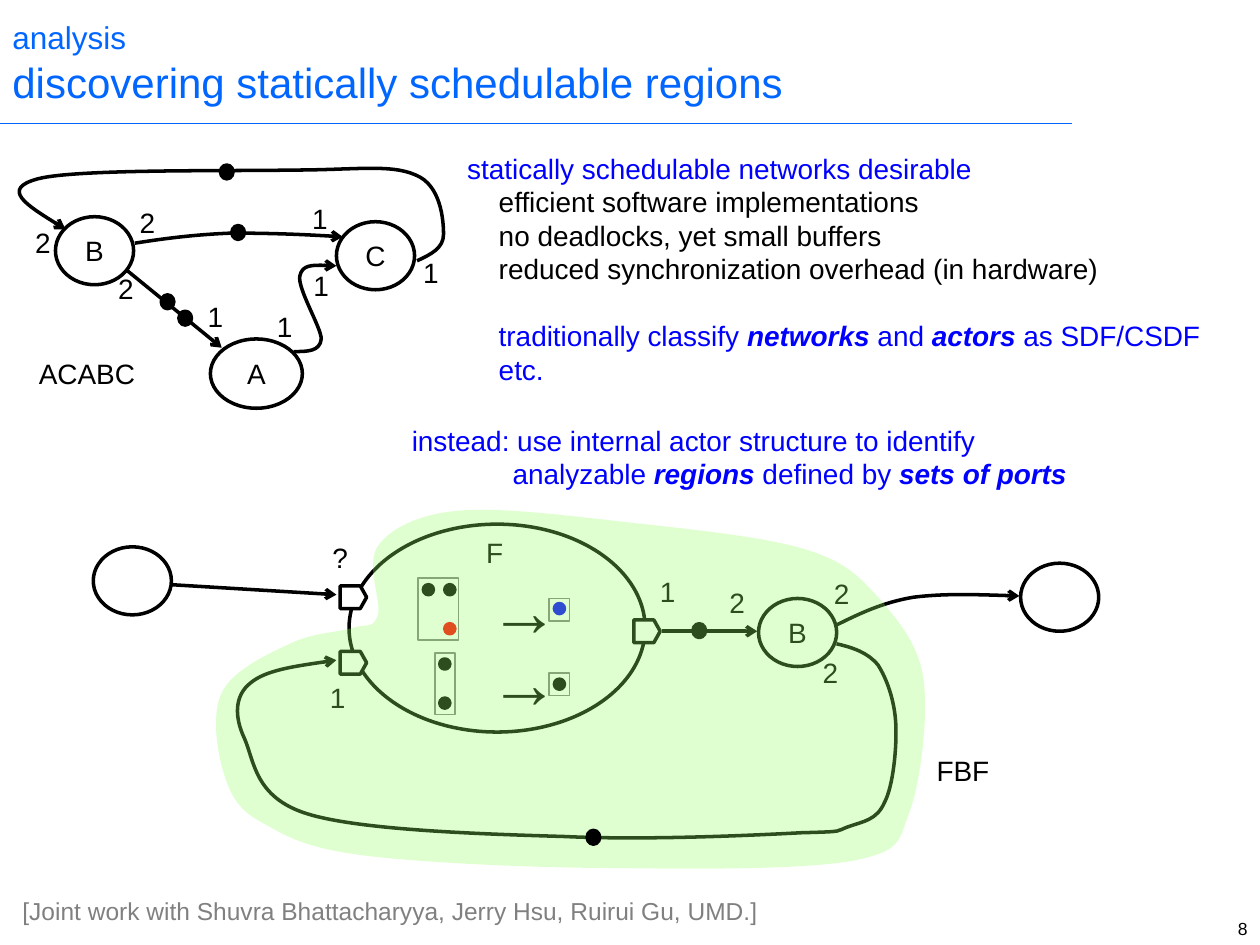
from lxml.etree import SubElement
from pptx import Presentation
from pptx.dml.color import RGBColor
from pptx.enum.dml import MSO_LINE
from pptx.enum.shapes import MSO_CONNECTOR, MSO_SHAPE as Preset
from pptx.enum.text import MSO_ANCHOR as Anchor, PP_ALIGN as Align
from pptx.oxml.ns import qn
from pptx.util import Inches, Pt

BLACK = RGBColor(0x00, 0x00, 0x00)
WHITE = RGBColor(0xFF, 0xFF, 0xFF)
GRAY = RGBColor(0x80, 0x80, 0x80)
TITLE_BLUE = RGBColor(0x00, 0x66, 0xFF)
BLUE = RGBColor(0x00, 0x00, 0xFF)
RED = RGBColor(0xFF, 0x00, 0x00)
GREEN = RGBColor(0x99, 0xFF, 0x66)


def style(shape, fill=None, line=BLACK, width=2, arrow="none"):
    """Set fill, outline and end arrowhead, without a shadow."""
    if hasattr(shape, "fill"):
        if fill is None:
            shape.fill.background()
        else:
            shape.fill.solid()
            shape.fill.fore_color.rgb = fill
    properties = shape._element.spPr
    if line is None:
        shape.line.fill.background()
    else:
        shape.line.color.rgb = line
        shape.line.width = Pt(width)
        shape.line.dash_style = MSO_LINE.SOLID
        SubElement(properties.find(qn("a:ln")), qn("a:tailEnd"), type=arrow)
    SubElement(properties, qn("a:effectLst"))


def write(shape, lines, size=16, color=BLACK, align=Align.LEFT,
          anchor=Anchor.TOP, wrap=False):
    """Write one paragraph per line; text between asterisks is bold italic."""
    frame = shape.text_frame
    frame.word_wrap = wrap
    frame.vertical_anchor = anchor
    for index, line in enumerate(lines):
        paragraph = frame.add_paragraph() if index else frame.paragraphs[0]
        paragraph.alignment = align
        for part, text in enumerate(line.split("*")):
            run = paragraph.add_run()
            run.text = text
            run.font.name = "Arial"
            run.font.size = Pt(size)
            run.font.color.rgb = color
            run.font.bold = run.font.italic = part % 2 == 1
    return frame.paragraphs


presentation = Presentation()
presentation.slide_width = Inches(10)
presentation.slide_height = Inches(7.5)
slide = presentation.slides.add_slide(presentation.slide_layouts[6])
shapes = slide.shapes

# Title
title_box = shapes.add_textbox(0, 0, Inches(8.65), Inches(0.99))
title = write(title_box, ["analysis", "discovering statically schedulable regions"],
              24, TITLE_BLUE, anchor=Anchor.MIDDLE, wrap=True)
title[0].runs[0].font.size = Pt(18)

# Actor F with its ports
actor_f = shapes.add_shape(Preset.OVAL, Inches(2.77), Inches(4.16), Inches(2.35), Inches(1.65))
style(actor_f, WHITE)
for left, top in [(5.03, 4.92), (2.7, 4.65), (2.7, 5.17)]:
    port = shapes.add_shape(Preset.PENTAGON, Inches(left), Inches(top), Inches(0.21), Inches(0.18))
    port.adjustments[0] = 0.28
    style(port, WHITE)

# Token patterns of the firing rules inside F
for left, top, width, height in [(3.45, 5.18, 0.16, 0.49), (4.36, 4.75, 0.16, 0.18),
                                 (4.36, 5.34, 0.16, 0.18), (3.32, 4.59, 0.32, 0.49)]:
    frame_box = shapes.add_shape(Preset.RECTANGLE, Inches(left), Inches(top), Inches(width), Inches(height))
    style(frame_box, line=GRAY, width=1)
for left, top, color in [(3.49, 5.23, BLACK), (3.49, 5.54, BLACK), (4.4, 4.79, BLUE), (4.4, 5.39, BLACK),
                         (3.53, 4.64, BLACK), (3.36, 4.64, BLACK), (3.53, 4.95, RED)]:
    token = shapes.add_shape(Preset.OVAL, Inches(left), Inches(top), Inches(0.08), Inches(0.08))
    style(token, color, color)
for top in (4.45, 5.02):
    arrow_box = shapes.add_textbox(Inches(3.79), Inches(top), Inches(0.4), Inches(0.77))
    write(arrow_box, ["→"], 40, align=Align.RIGHT)

# Other actors
for name, left, top, width, height in [
        ("A", 1.67, 2.69, 0.73, 0.55), ("C", 2.67, 1.76, 0.62, 0.54), ("B", 0.44, 1.72, 0.62, 0.54),
        ("B", 6.02, 4.75, 0.62, 0.54), ("", 0.74, 4.34, 0.62, 0.54), ("", 8.1, 4.47, 0.62, 0.54)]:
    actor = shapes.add_shape(Preset.OVAL, Inches(left), Inches(top), Inches(width), Inches(height))
    style(actor, WHITE)
    if name:
        write(actor, [name], align=Align.CENTER, anchor=Anchor.MIDDLE)

# Straight lines: title rule and direct channels
for x1, y1, x2, y2, color, width, arrow in [
        (0, 0.98, 8.51, 0.98, TITLE_BLUE, 1, "none"), (1, 2.14, 1.76, 2.76, BLACK, 2, "arrow"),
        (1.35, 4.64, 2.67, 4.72, BLACK, 2, "arrow"), (5.25, 5.01, 6.01, 5.01, BLACK, 2, "arrow")]:
    connector = shapes.add_connector(MSO_CONNECTOR.STRAIGHT, Inches(x1), Inches(y1), Inches(x2), Inches(y2))
    connector._element.remove(connector._element.find(qn("p:style")))
    style(connector, line=color, width=width, arrow=arrow)

# Rates at the ports
for text, left, top in [
        ("1", 2.09, 2.41), ("1", 1.54, 2.33), ("2", 0.83, 2.11), ("2", 1, 1.58), ("1", 2.37, 1.55),
        ("1", 2.38, 2.08), ("1", 3.25, 1.98), ("2", 0.17, 1.74), ("1", 2.51, 5.35), ("1", 5.13, 4.51),
        ("?", 2.53, 4.24), ("2", 5.68, 4.6), ("2", 6.51, 4.53), ("2", 6.42, 5.15), ("F", 3.76, 4.2)]:
    rate_box = shapes.add_textbox(Inches(left), Inches(top), Inches(0.33), Inches(0.37))
    write(rate_box, [text], align=Align.RIGHT)

# Curved channels, then the region: a start point, then three points per Bezier curve
a_to_c = [(2.33, 2.79), (2.44, 2.79), (2.54, 2.79), (2.55, 2.69), (2.55, 2.6), (2.36, 2.29), (2.38, 2.19),
          (2.4, 2.1), (2.53, 2.1), (2.67, 2.11)]
b_to_c = [(1.07, 1.93), (1.32, 1.89), (1.57, 1.86), (1.84, 1.85), (2.11, 1.85), (2.42, 1.86), (2.72, 1.88)]
c_to_b = [(3.31, 2.07), (3.42, 2.02), (3.52, 1.97), (3.52, 1.86), (3.52, 1.75), (3.5, 1.47), (3.3, 1.39),
          (3.1, 1.3), (2.82, 1.35), (2.32, 1.35), (1.82, 1.36), (0.6, 1.34), (0.3, 1.42),
          (0, 1.5), (0.26, 1.66), (0.52, 1.82)]
b_to_sink = [(6.64, 4.96), (6.82, 4.87), (7.01, 4.78), (7.25, 4.74), (7.49, 4.71), (7.79, 4.72), (8.09, 4.73)]
b_to_f = [(6.64, 5.11), (6.77, 5.14), (6.89, 5.18), (6.97, 5.28), (7.04, 5.39), (7.1, 5.56), (7.11, 5.74),
          (7.12, 5.93), (7.09, 6.24), (7.02, 6.37), (6.96, 6.51), (6.85, 6.52), (6.74, 6.56),
          (6.62, 6.6), (6.73, 6.6), (6.36, 6.61), (5.98, 6.63), (5.13, 6.67), (4.48, 6.64),
          (3.82, 6.62), (2.86, 6.59), (2.44, 6.46), (2.02, 6.33), (2.02, 6.04), (1.94, 5.86),
          (1.86, 5.69), (1.86, 5.52), (1.99, 5.42), (2.11, 5.32), (2.39, 5.28), (2.67, 5.24)]
region = [(3.01, 4.32), (2.89, 4.46), (3.03, 4.77), (3, 4.88), (2.96, 4.99), (2.93, 4.95), (2.81, 4.98),
          (2.69, 5.02), (2.48, 5.02), (2.3, 5.11), (2.13, 5.19), (1.84, 5.32), (1.76, 5.5),
          (1.67, 5.68), (1.73, 6.01), (1.79, 6.18), (1.85, 6.35), (1.91, 6.44), (2.1, 6.54),
          (2.28, 6.64), (2.42, 6.73), (2.89, 6.79), (3.36, 6.85), (4.27, 6.89), (4.92, 6.89),
          (5.57, 6.9), (6.4, 6.9), (6.78, 6.83), (7.16, 6.75), (7.13, 6.68), (7.22, 6.44),
          (7.31, 6.2), (7.37, 5.67), (7.33, 5.39), (7.29, 5.11), (7.13, 4.93), (6.98, 4.75),
          (6.82, 4.58), (6.72, 4.46), (6.39, 4.36), (6.07, 4.26), (5.47, 4.2), (5.02, 4.15),
          (4.57, 4.1), (4.03, 4.03), (3.69, 4.05), (3.35, 4.07), (3.12, 4.18), (3.01, 4.32)]
for points in (a_to_c, b_to_c, c_to_b, b_to_sink, b_to_f, region):
    closed = points is region
    corners = [(Inches(x), Inches(y)) for x, y in points]
    builder = shapes.build_freeform(*corners[0])
    builder.add_line_segments(corners[1:], close=closed)
    curve = builder.convert_to_shape()
    outline = next(curve._element.iter(qn("a:path")))
    segments = outline.findall(qn("a:lnTo"))
    for start in range(0, len(segments), 3):
        bezier = outline.makeelement(qn("a:cubicBezTo"))
        segments[start].addprevious(bezier)
        for segment in segments[start:start + 3]:
            bezier.append(segment[0])
            outline.remove(segment)
    if closed:
        style(curve, GREEN, line=None)
        color_element = next(curve._element.spPr.iter(qn("a:srgbClr")))
        SubElement(color_element, qn("a:alpha"), val="30000")
        region_shape = curve
    else:
        style(curve, arrow="arrow")

# Tokens on the channels; all but the lowest lie behind the region
for left, top in [(1.28, 2.34), (1.84, 1.79), (1.75, 1.31), (1.42, 2.47), (5.5, 4.95), (4.66, 6.59)]:
    token = shapes.add_shape(Preset.OVAL, Inches(left), Inches(top), Inches(0.1), Inches(0.11))
    style(token, BLACK)
    if top < 6:
        region_shape._element.addprevious(token._element)

# Schedules
for schedule, left, top, width in [("ACABC", 0.12, 2.78, 1.05), ("FBF", 7.25, 5.93, 0.7)]:
    schedule_box = shapes.add_textbox(Inches(left), Inches(top), Inches(width), Inches(0.37))
    write(schedule_box, [schedule], align=Align.RIGHT)

# Explanation
explanation_box = shapes.add_textbox(Inches(3.61), Inches(1.15), Inches(6.22), Inches(1.7))
explanation = write(explanation_box, [
    "statically schedulable networks desirable",
    "efficient software implementations",
    "no deadlocks, yet small buffers",
    "reduced synchronization overhead (in hardware)",
    "traditionally classify *networks *and* actors* as SDF/CSDF etc."], color=BLUE, wrap=True)
for paragraph in explanation[1:]:
    paragraph._p.get_or_add_pPr().set("marL", str(Inches(0.25)))
for paragraph in explanation[1:4]:
    paragraph.runs[0].font.color.rgb = BLACK
explanation[4].space_before = Pt(19)

# Alternative approach
approach_box = shapes.add_textbox(Inches(3.17), Inches(3.31), Inches(6.16), Inches(0.64))
approach = write(approach_box, ["instead: use internal actor structure to identify",
                                "analyzable *regions* defined by *sets of ports*"], color=BLUE, wrap=True)
approach[1]._p.get_or_add_pPr().set("marL", str(Inches(0.8)))

# Credit and page number
credit_box = shapes.add_textbox(Inches(0.08), Inches(7.06), Inches(6.04), Inches(0.34))
write(credit_box, ["[Joint work with Shuvra Bhattacharyya, Jerry Hsu, Ruirui Gu, UMD.]"], 14, GRAY)
number_box = shapes.add_textbox(Inches(9.07), Inches(7.24), Inches(0.93), Inches(0.23))
write(number_box, ["8"], 10, align=Align.RIGHT, wrap=True)

presentation.save("out.pptx")
